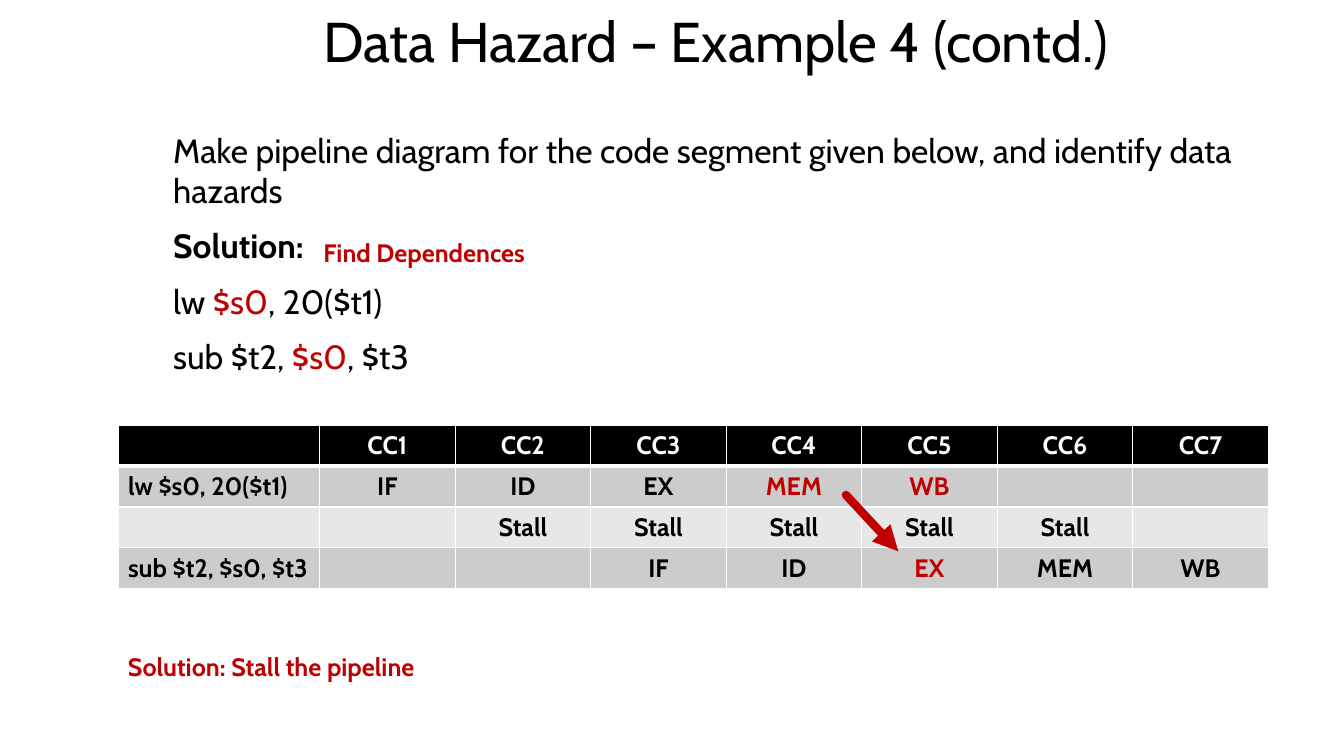
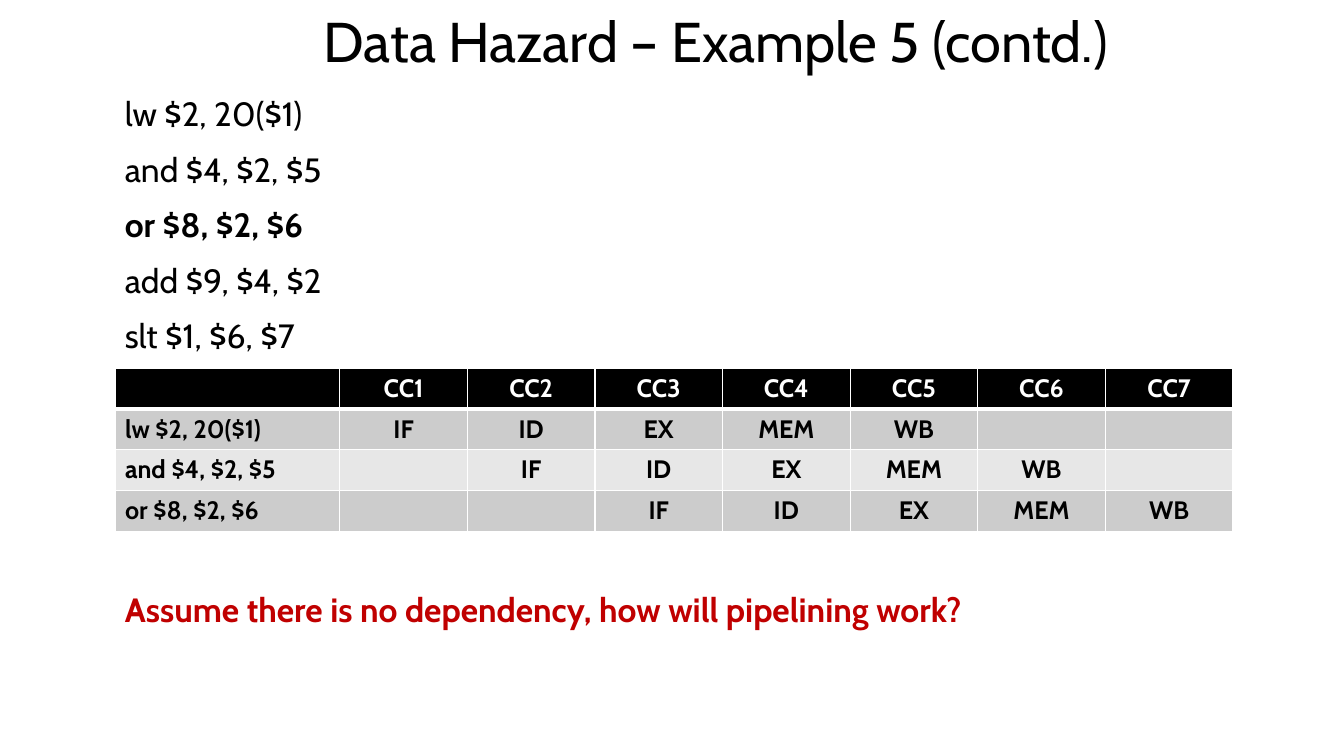
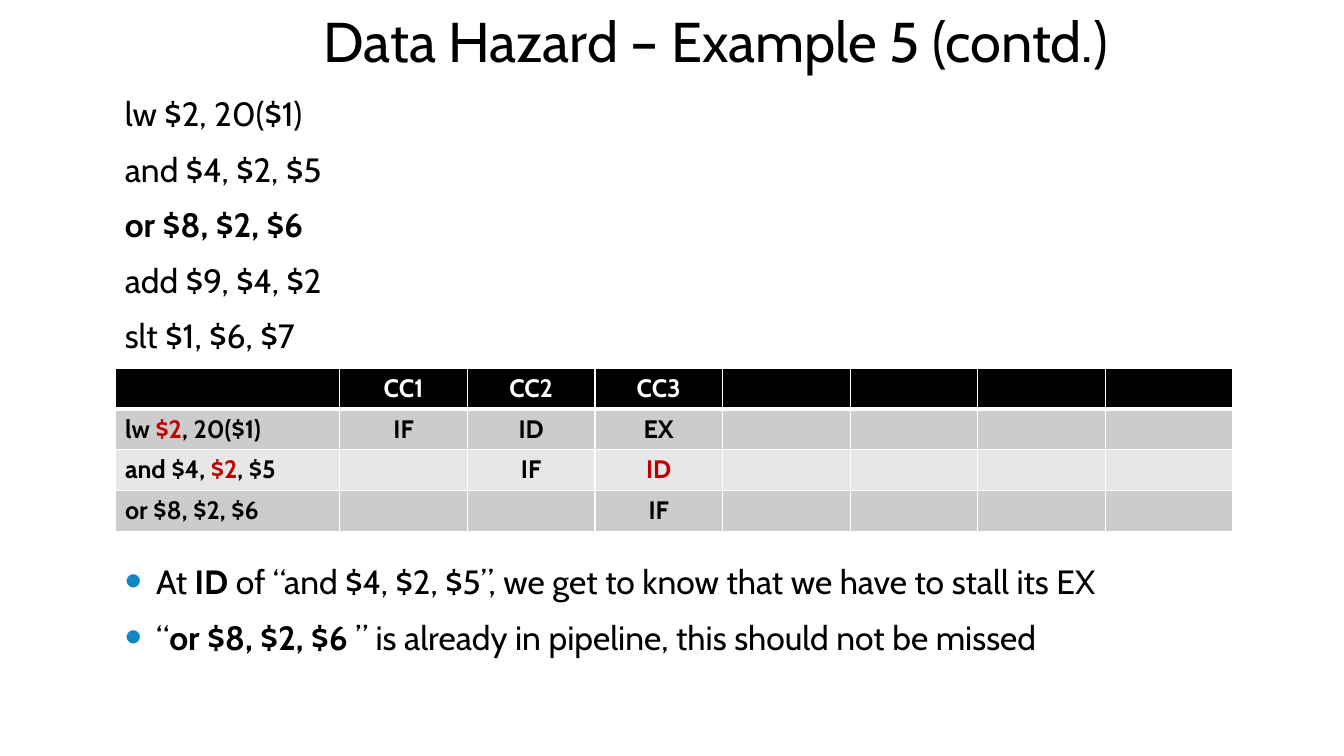
from lxml import etree
from pptx import Presentation
from pptx.dml.color import RGBColor
from pptx.enum.shapes import MSO_CONNECTOR
from pptx.enum.text import MSO_ANCHOR, PP_ALIGN
from pptx.oxml.ns import qn
from pptx.util import Emu, Pt

LEFT, CENTER, JUSTIFY = PP_ALIGN.LEFT, PP_ALIGN.CENTER, PP_ALIGN.JUSTIFY
TOP, MIDDLE = MSO_ANCHOR.TOP, MSO_ANCHOR.MIDDLE
STRAIGHT = MSO_CONNECTOR.STRAIGHT

PX = 9144  # 100 px to the inch
FONT = "Cabin"
BLACK, WHITE, RED, BULLET = "000000", "FFFFFF", "C00000", "1287C3"
BANDS = ["CCCCCC", "E7E7E7"]
CYCLES = ["CC1", "CC2", "CC3", "CC4", "CC5", "CC6", "CC7"]


def write(p, text, size, color=BLACK, bold=False, align=LEFT):
    """Fill a paragraph; *...* marks bold and ^...^ marks red."""
    p.alignment = align
    for i, part in enumerate(text.split("*")):
        for j, piece in enumerate(part.split("^")):
            if piece:
                r = p.add_run()
                r.text = piece
                r.font.name = FONT
                r.font.size = Pt(size)
                r.font.bold = bold or i % 2 == 1
                r.font.color.rgb = RGBColor.from_string(RED if j % 2 else color)


def add_text(s, box, lines, size=24, color=BLACK, bold=False, align=LEFT,
             anchor=MIDDLE, wrap=True, spaced=True, bullets=False):
    tf = s.shapes.add_textbox(*[Emu(v * PX) for v in box]).text_frame
    tf.word_wrap = wrap
    tf.vertical_anchor = anchor
    for i, line in enumerate(lines):
        p = tf.add_paragraph() if i else tf.paragraphs[0]
        write(p, line, size, color, bold, align)
        if spaced:
            p.space_before, p.space_after = Pt(size * 0.2), Pt(6)
        if bullets:
            pPr = p._p.get_or_add_pPr()
            pPr.set("marL", str(31 * PX))
            pPr.set("indent", str(-31 * PX))
            clr = etree.SubElement(pPr, qn("a:buClr"))
            etree.SubElement(clr, qn("a:srgbClr"), val=BULLET)
            etree.SubElement(pPr, qn("a:buSzPct"), val="145000")
            etree.SubElement(pPr, qn("a:buFont"), typeface="Arial")
            etree.SubElement(pPr, qn("a:buChar"), char="•")


CODE = ["lw $2, 20($1)", "and $4, $2, $5", "*or $8, $2, $6 *",
        "add $9, $4, $2", "slt $1, $6, $7"]
EXAMPLE_4 = dict(
    title="Data Hazard – Example 4 (contd.)",
    body=[(162, 80, 1096, 342), [
        "Make pipeline diagram for the code segment given below, and identify data hazards",
        "*Solution:*", "lw ^$s0^, 20($t1)", "sub $t2, ^$s0^, $t3"], LEFT],
    table=(117, 422, 1141, 162), first_col=200,
    rows=[["", *CYCLES],
          ["lw $s0, 20($t1)", "IF", "ID", "EX", "^MEM^", "^WB^"],
          ["", "", "Stall", "Stall", "Stall", "Stall", "Stall"],
          ["sub $t2, $s0, $t3", "", "", "IF", "ID", "^EX^", "MEM", "WB"]])
EXAMPLE_5 = dict(
    title="Data Hazard – Example 5 (contd.)",
    body=[(114, 80, 1096, 285), CODE, JUSTIFY],
    table=(114, 365, 1109, 162), first_col=223)
NO_DEPENDENCY = dict(EXAMPLE_5, rows=[
    ["", *CYCLES],
    ["lw $2, 20($1)", "IF", "ID", "EX", "MEM", "WB"],
    ["and $4, $2, $5", "", "IF", "ID", "EX", "MEM", "WB"],
    ["or $8, $2, $6", "", "", "IF", "ID", "EX", "MEM", "WB"]])
STALL_FOUND = dict(EXAMPLE_5, rows=[
    ["", *CYCLES[:3]],
    ["lw ^$2^, 20($1)", "IF", "ID", "EX"],
    ["and $4, ^$2^, $5", "", "IF", "^ID^"],
    ["or $8, $2, $6", "", "", "IF"]])

prs = Presentation()
prs.slide_width, prs.slide_height = Emu(1333 * PX), Emu(750 * PX)
slides = []
for page in [EXAMPLE_4, NO_DEPENDENCY, STALL_FOUND]:
    s = prs.slides.add_slide(prs.slide_layouts[6])
    slides.append(s)
    add_text(s, (162, 0, 1096, 80), [page["title"]], size=40, align=CENTER, spaced=False)
    box, lines, align = page["body"]
    add_text(s, box, lines, align=align)

    rows, n_cols = page["rows"], 1 + len(CYCLES)
    x, y, w, h = [v * PX for v in page["table"]]
    table = s.shapes.add_table(len(rows), n_cols, x, y, w, h).table
    first = page["first_col"] * PX
    for i, col in enumerate(table.columns):
        col.width = Emu((w - first) // len(CYCLES) if i else first)
    for i, row in enumerate(rows):
        table.rows[i].height = Emu(h // len(rows))
        for j in range(n_cols):
            cell = table.cell(i, j)
            cell.fill.solid()
            cell.fill.fore_color.rgb = RGBColor.from_string(BANDS[(i - 1) % 2] if i else BLACK)
            write(cell.text_frame.paragraphs[0], row[j] if j < len(row) else "", 18,
                  BLACK if i else WHITE, True, CENTER if j else LEFT)
            # the rule under the header row is thicker
            widths = {"a:lnL": 1, "a:lnR": 1, "a:lnT": 3 if i == 1 else 1,
                      "a:lnB": 1 if i else 3}
            tcPr = cell._tc.get_or_add_tcPr()
            for k, (side, width) in enumerate(widths.items()):
                ln = etree.Element(qn(side), w=str(Pt(width)))
                fill = etree.SubElement(ln, qn("a:solidFill"))
                etree.SubElement(fill, qn("a:srgbClr"), val=WHITE)
                tcPr.insert(k, ln)

stall, no_dependency, stall_found = slides
for box, note in [((311, 231, 220, 40), "Find Dependences"),
                  ((117, 641, 308, 40), "Solution: Stall the pipeline")]:
    add_text(stall, box, [note], size=18, color=RED, bold=True,
             anchor=TOP, wrap=False, spaced=False)

arrow = stall.shapes.add_connector(STRAIGHT, *[Emu(v * PX) for v in (839, 491, 891, 547)])
arrow.line.color.rgb = RGBColor.from_string(RED)
arrow.line.width = Pt(6)
ln = arrow.line._get_or_add_ln()
ln.set("cap", "rnd")
etree.SubElement(ln, qn("a:tailEnd"), type="triangle")
etree.SubElement(arrow._element.spPr, qn("a:effectLst"))

REMARK = (114, 527, 1096, 154)
add_text(no_dependency, REMARK,
         ["Assume there is no dependency, how will pipelining work?"], color=RED, bold=True)
add_text(stall_found, REMARK, [
    "At* ID *of “and $4, $2, $5”, we get to know that we have to stall its EX",
    "“*or $8, $2, $6 *” is already in pipeline, this should not be missed"], bullets=True)

prs.save("out.pptx")
